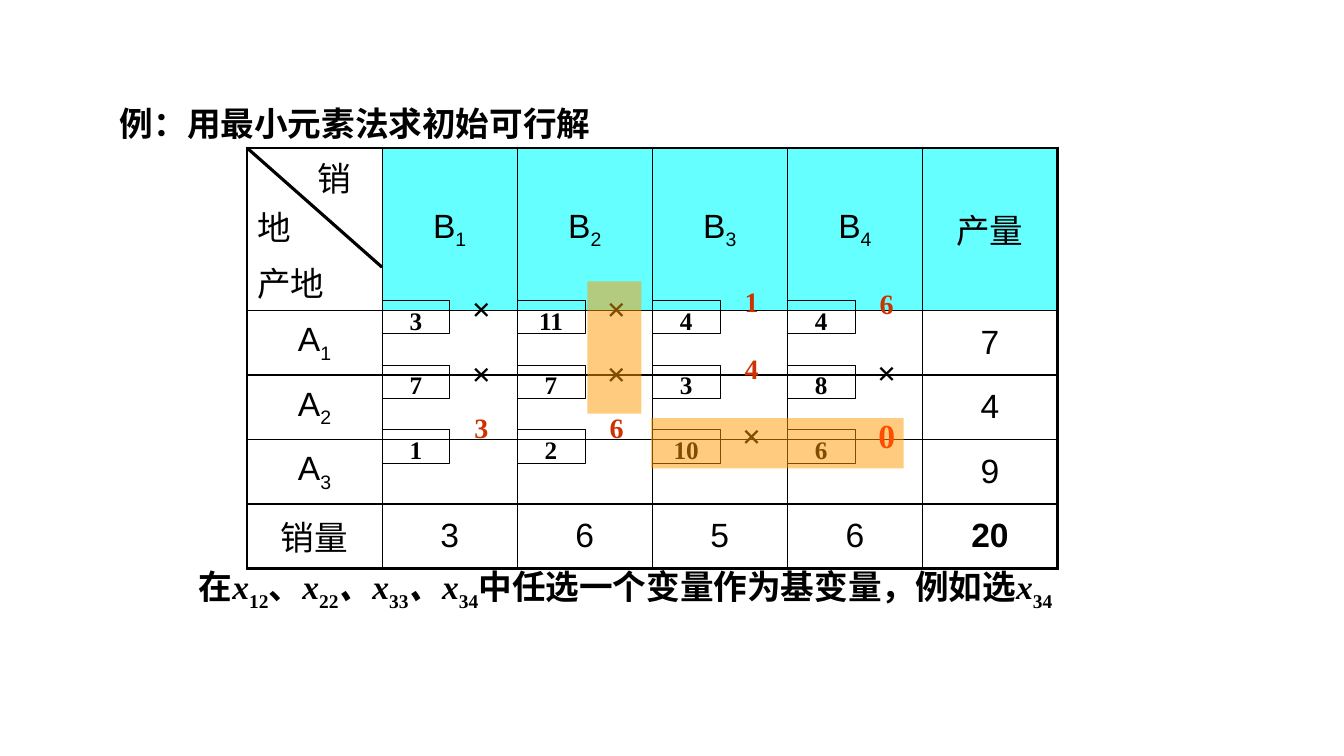
from lxml import etree
from pptx import Presentation
from pptx.dml.color import RGBColor
from pptx.enum.shapes import MSO_CONNECTOR, MSO_SHAPE
from pptx.enum.text import MSO_ANCHOR, MSO_AUTO_SIZE, PP_ALIGN
from pptx.oxml.ns import qn
from pptx.util import Inches, Pt

STRAIGHT = MSO_CONNECTOR.STRAIGHT
RECTANGLE = MSO_SHAPE.RECTANGLE
TOP, MIDDLE = MSO_ANCHOR.TOP, MSO_ANCHOR.MIDDLE
GROW = MSO_AUTO_SIZE.SHAPE_TO_FIT_TEXT
LEFT, CENTER = PP_ALIGN.LEFT, PP_ALIGN.CENTER

BLACK, RED, BRICK, CYAN, ORANGE = "000000", "FF0000", "CC3300", "66FFFF", "FF9900"
SANS, SERIF = "Arial", "Times New Roman"
GRID_LEFT, GRID_TOP, COLUMN, ROW = 3.79, 2.85, 1.34, 0.64
TABLE_TOP, HEADER_ROWS = -2.16, 2.52

TITLE = "例：用最小元素法求初始可行解"
TABLE = [
    ["销地\n产地", "B_1", "B_2", "B_3", "B_4", "产量"],
    ["A_1", "", "", "", "", "7"],
    ["A_2", "", "", "", "", "4"],
    ["A_3", "", "", "", "", "9"],
    ["销量", "3", "6", "5", "6", "20"],
]
COSTS = [[3, 11, 4, 4], [7, 7, 3, 8], [1, 2, 10, 6]]
CROSSES = [(0, -0.19), (1, -0.19), (0, 0.81), (1, 0.81), (3, 0.8), (2, 1.78)]
SHIPMENTS = [(2, -0.23, "1"), (3, -0.19, "6"), (2, 0.81, "4"), (0, 1.73, "3"), (1, 1.73, "6")]
HIGHLIGHTS = [(1.52, -0.09, 0.4, 2.05), (1.99, 2.03, 1.87, 0.78)]
NOTE = [("在", ""), ("x", "italic"), ("12", "sub"), ("、", ""), ("x", "italic"), ("22", "sub"),
        ("、x", "italic"), ("33", "sub"), ("、x", "italic"), ("34", "sub"),
        ("中任选一个变量作为基变量，例如选", ""), ("x", "italic"), ("34", "sub")]


def color(value):
    return RGBColor.from_string(value)


class TransportSlide:
    """Draws on one slide, measured in columns and rows of a grid."""

    def __init__(self, presentation):
        self.slide = presentation.slides.add_slide(presentation.slide_layouts[5])

    def point(self, column, row):
        return Inches(GRID_LEFT + column * COLUMN), Inches(GRID_TOP + row * ROW)

    def box(self, column, row, width, height):
        return *self.point(column, row), Inches(width * COLUMN), Inches(height * ROW)

    def style(self, run, size, font, ink, bold):
        run.font.size = Pt(size)
        run.font.name = font
        run.font.color.rgb = color(ink)
        run.font.bold = bold

    def pieces(self, paragraph, pieces, size, font, bold):
        for text, kind in pieces:
            run = paragraph.add_run()
            run.text = text
            self.style(run, size, font, BLACK, bold)
            run.font.italic = kind == "italic"
            if kind == "sub":
                run._r.get_or_add_rPr().set("baseline", "-25000")

    def frame(self, shape, text, size, ink=BLACK, anchor=TOP, wrap=True):
        frame = shape.text_frame
        frame.text = text
        frame.word_wrap = wrap
        frame.auto_size = GROW
        frame.vertical_anchor = anchor
        paragraph = frame.paragraphs[0]
        paragraph.alignment = CENTER
        paragraph.line_spacing = 1.2
        self.style(paragraph.runs[0], size, SERIF, ink, True)
        return frame

    def title(self, text, place):
        shape = self.slide.shapes.title
        shape.left, shape.top, shape.width, shape.height = self.box(*place)
        self.frame(shape, text, 24, wrap=False)

    def table(self, rows):
        place = self.box(-1, TABLE_TOP, len(rows[0]), HEADER_ROWS + len(rows) - 1)
        table = self.slide.shapes.add_table(len(rows), len(rows[0]), *place).table
        table.first_row = table.horz_banding = False
        for column in table.columns:
            column.width = Inches(COLUMN)
        for index, row in enumerate(table.rows):
            row.height = Inches(ROW * (1 if index else HEADER_ROWS))
        last_row, last_column = len(rows) - 1, len(rows[0]) - 1
        for i, texts in enumerate(rows):
            for j, text in enumerate(texts):
                cell = table.cell(i, j)
                edges = {"lnL": j == 0, "lnR": j == last_column,
                         "lnT": i == 0, "lnB": i == last_row}
                self.borders(cell, edges)
                self.cell(cell, text, CYAN if i == 0 and j else None,
                          (i, j) == (last_row, last_column))
        corner = table.cell(0, 0).text_frame.paragraphs
        corner[0]._p.get_or_add_pPr().set("indent", str(Inches(0.6)))
        corner[1].space_before = Pt(4.8)
        for paragraph in corner:
            paragraph.alignment = LEFT

    def borders(self, cell, edges):
        properties = cell._tc.get_or_add_tcPr()
        for tag, outer in edges.items():
            line = etree.SubElement(properties, qn(f"a:{tag}"), w=str(Pt(2.25 if outer else 1)))
            fill = etree.SubElement(line, qn("a:solidFill"))
            etree.SubElement(fill, qn("a:srgbClr"), val=BLACK)

    def cell(self, cell, text, fill, bold):
        cell.vertical_anchor = MIDDLE
        if fill:
            cell.fill.solid()
            cell.fill.fore_color.rgb = color(fill)
        else:
            cell.fill.background()
        name, _, subscript = text.partition("_")
        cell.text_frame.text = name
        for paragraph in cell.text_frame.paragraphs:
            paragraph.alignment = CENTER
            for run in paragraph.runs:
                self.style(run, 24, SANS, BLACK, bold)
        if subscript:
            self.pieces(cell.text_frame.paragraphs[0], [(subscript, "sub")], 24, SANS, bold)

    def diagonal(self, start, end):
        line = self.slide.shapes.add_connector(STRAIGHT, *self.point(*start), *self.point(*end))
        line.line.color.rgb = color(BLACK)
        line.line.width = Pt(2.25)
        etree.SubElement(line._element.spPr, qn("a:effectLst"))

    def cost(self, column, row, value):
        shape = self.slide.shapes.add_shape(RECTANGLE, *self.box(column, row + 0.2, 0.5, 0.52))
        shape.shadow.inherit = False
        shape.fill.background()
        shape.line.color.rgb = color(BLACK)
        shape.line.width = Pt(0.25)
        frame = self.frame(shape, str(value), 18, anchor=MIDDLE)
        frame.margin_left = frame.margin_right = frame.margin_top = frame.margin_bottom = 0

    def mark(self, column, row, text, size, ink):
        place = self.box(column + 0.47, row, 0.53, size * 0.035)
        self.frame(self.slide.shapes.add_textbox(*place), text, size, ink)

    def highlight(self, *place):
        shape = self.slide.shapes.add_shape(RECTANGLE, *self.box(*place))
        shape.shadow.inherit = False
        shape.line.fill.background()
        shape.fill.solid()
        shape.fill.fore_color.rgb = color(ORANGE)
        tint = shape._element.spPr.find(f".//{qn('a:srgbClr')}")
        etree.SubElement(tint, qn("a:alpha"), val="50000")

    def note(self, pieces, place):
        frame = self.slide.shapes.add_textbox(*self.box(*place)).text_frame
        frame.word_wrap = True
        frame.auto_size = GROW
        self.pieces(frame.paragraphs[0], pieces, 24, SERIF, True)


def main():
    presentation = Presentation()
    presentation.slide_width, presentation.slide_height = Inches(13.33), Inches(7.5)
    slide = TransportSlide(presentation)
    slide.title(TITLE, (-2.02, -3.06, 3.64, 0.91))
    slide.table(TABLE)
    slide.diagonal((-1, TABLE_TOP), (0, -0.31))
    for row, values in enumerate(COSTS):
        for column, value in enumerate(values):
            slide.cost(column, row, value)
    for column, row in CROSSES:
        slide.mark(column, row, "×", 24, BLACK)
    for column, row, amount in SHIPMENTS:
        slide.mark(column, row, amount, 20, BRICK)
    slide.mark(3, 1.78, "0", 24, RED)
    for place in HIGHLIGHTS:
        slide.highlight(*place)
    slide.note(NOTE, (-1.43, 4.25, 6.86, 0.78))
    presentation.save("out.pptx")


if __name__ == "__main__":
    main()
